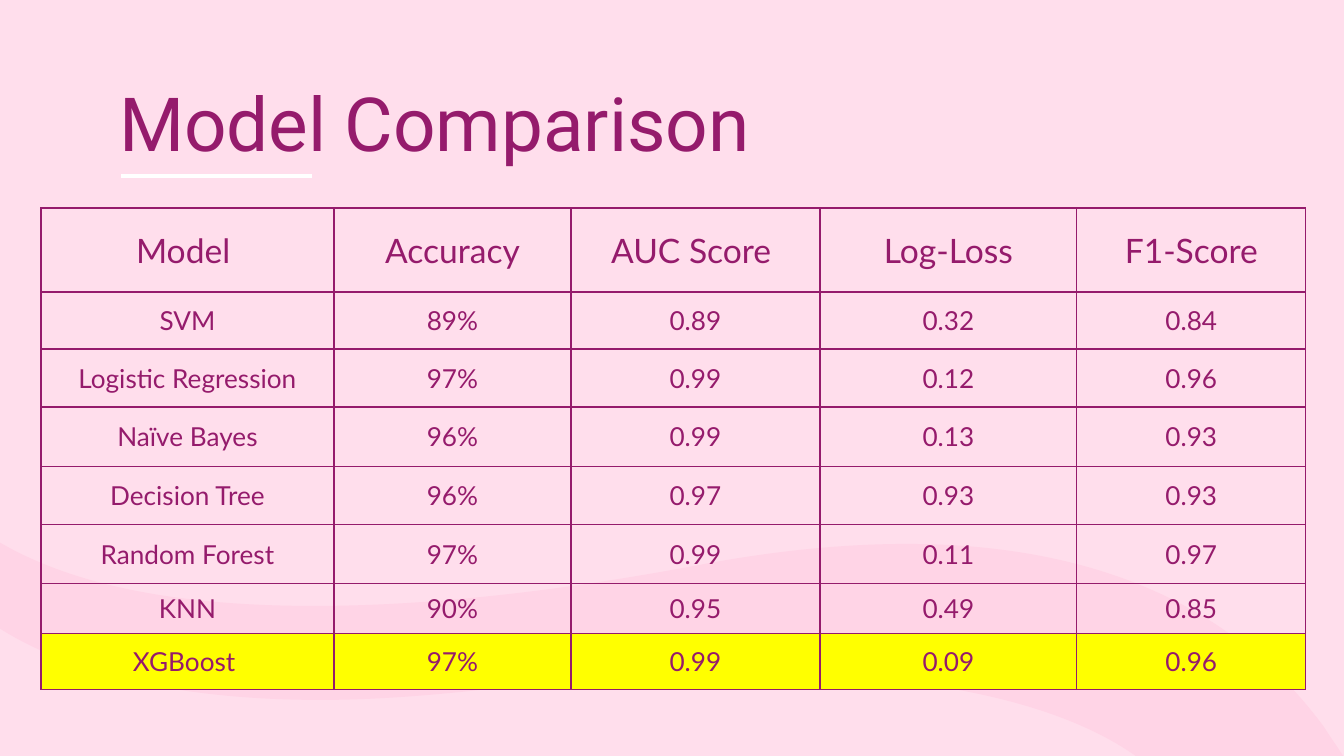
from dataclasses import dataclass

from lxml import etree
from pptx import Presentation
from pptx.dml.color import RGBColor
from pptx.enum.shapes import MSO_CONNECTOR
from pptx.enum.text import MSO_ANCHOR, PP_ALIGN
from pptx.oxml.ns import qn
from pptx.util import Pt

EMU_PER_PX = 914400 / 134.4
STRAIGHT = MSO_CONNECTOR.STRAIGHT
MIDDLE = MSO_ANCHOR.MIDDLE
CENTER = PP_ALIGN.CENTER


@dataclass(frozen=True)
class Theme:
    """Colours, fonts and type sizes of the slide."""
    background: str = "FFDEEC"
    wave: str = "FFD4E6"
    ink: str = "951B6C"
    underline: str = "FFFFFF"
    highlight: str = "FFFF00"
    title_font: str = "Roboto"
    table_font: str = "Lato"
    title_size: int = 40
    header_size: int = 18
    body_size: int = 14
    underline_width: float = 2.25
    border_width: float = 0.75


THEME = Theme()

WAVE_START = (-1, 542)
WAVE_SEGMENTS = [
    [(-1, 628)],
    [(54, 663), (152, 700), (321, 700)],
    [(371, 700), (426, 696), (489, 689)],
    [(586, 679), (672, 673), (747, 673)],
    [(945, 673), (1071, 708), (1140, 759)],
    [(1345, 759)],
    [(1339, 749), (1331, 738), (1324, 727)],
    [(1241, 614), (1106, 544), (907, 544)],
    [(847, 544), (782, 550), (710, 563)],
    [(574, 589), (438, 606), (314, 606)],
    [(190, 606), (79, 589), WAVE_START],
]

COLUMN_WIDTHS = [293, 237, 249, 257, 229]
ROW_HEIGHTS = [84, 57, 58, 60, 58, 59, 50, 56]
SCORES = [
    ["Model ", "Accuracy", "AUC Score ", "Log-Loss", "F1-Score"],
    ["SVM", "89%", "0.89", "0.32", "0.84"],
    ["Logistic Regression", "97%", "0.99", "0.12", "0.96"],
    ["Naïve Bayes", "96%", "0.99", "0.13", "0.93"],
    ["Decision Tree", "96%", "0.97", "0.93", "0.93"],
    ["Random Forest", "97%", "0.99", "0.11", "0.97"],
    ["KNN", "90%", "0.95", "0.49", "0.85"],
    ["XGBoost ", "97%", "0.99", "0.09", "0.96"],
]
BEST_MODEL = "XGBoost "


def px(length):
    """Turn pixels into EMU."""
    return round(length * EMU_PER_PX)


def rgb(code):
    """Turn a hex code into a colour."""
    return RGBColor.from_string(code)


def bend_segments(outline, segments):
    """Turn the straight sides with control points into cubic curves."""
    sides = list(outline._element.iter(qn("a:lnTo")))
    for side, points in zip(sides, segments):
        if len(points) == 1:
            continue
        side.clear()
        curve = etree.Element(qn("a:cubicBezTo"))
        for x, y in points:
            etree.SubElement(curve, qn("a:pt"), x=str(px(x) - outline.left),
                             y=str(px(y) - outline.top))
        side.getparent().replace(side, curve)


def add_wave(slide):
    """Draw the soft wave across the foot of the slide."""
    builder = slide.shapes.build_freeform(*map(px, WAVE_START))
    ends = [tuple(map(px, points[-1])) for points in WAVE_SEGMENTS]
    builder.add_line_segments(ends, close=True)
    wave = builder.convert_to_shape()
    bend_segments(wave, WAVE_SEGMENTS)
    wave.shadow.inherit = False
    wave.fill.solid()
    wave.fill.fore_color.rgb = rgb(THEME.wave)
    wave.line.fill.background()


def add_underline(slide, left, right, y):
    """Draw the short rule under the title."""
    underline = slide.shapes.add_connector(STRAIGHT, px(left), px(y), px(right), px(y))
    underline.line.color.rgb = rgb(THEME.underline)
    underline.line.width = Pt(THEME.underline_width)
    etree.SubElement(underline._element.spPr, qn("a:effectLst"))


def format_text(paragraph, font_name, size):
    """Give the runs of a paragraph their font, size and colour."""
    for run in paragraph.runs:
        run.font.name = font_name
        run.font.size = Pt(size)
        run.font.color.rgb = rgb(THEME.ink)


def add_title(slide, text):
    """Write the slide title."""
    frame = slide.shapes.add_textbox(px(106), px(79), px(1200), px(85)).text_frame
    frame.word_wrap = True
    frame.vertical_anchor = MIDDLE
    frame.margin_left = frame.margin_right = px(13)
    frame.margin_top = frame.margin_bottom = px(13)
    frame.text = text
    format_text(frame.paragraphs[0], THEME.title_font, THEME.title_size)


def add_borders(cell):
    """Rule all four sides of a table cell."""
    properties = cell._tc.get_or_add_tcPr()
    for side in ("a:lnL", "a:lnR", "a:lnT", "a:lnB"):
        border = etree.SubElement(properties, qn(side), w=str(Pt(THEME.border_width)))
        fill = etree.SubElement(border, qn("a:solidFill"))
        etree.SubElement(fill, qn("a:srgbClr"), val=THEME.ink)


def fill_cell(cell, text, size, highlighted):
    """Write and format one table cell."""
    cell.text_frame.text = text
    cell.vertical_anchor = MIDDLE
    cell.margin_left = cell.margin_right = px(11)
    cell.margin_top = cell.margin_bottom = px(5)
    paragraph = cell.text_frame.paragraphs[0]
    paragraph.alignment = CENTER
    format_text(paragraph, THEME.table_font, size)
    add_borders(cell)
    if highlighted:
        cell.fill.solid()
        cell.fill.fore_color.rgb = rgb(THEME.highlight)
    else:
        cell.fill.background()


def add_score_table(slide, left, top):
    """Build the table that compares the models."""
    table = slide.shapes.add_table(
        len(ROW_HEIGHTS), len(COLUMN_WIDTHS), px(left), px(top),
        px(sum(COLUMN_WIDTHS)), px(sum(ROW_HEIGHTS)),
    ).table
    table.first_row = False
    table.horz_banding = False
    for column, width in zip(table.columns, COLUMN_WIDTHS):
        column.width = px(width)
    for index, (row, height, scores) in enumerate(zip(table.rows, ROW_HEIGHTS, SCORES)):
        row.height = px(height)
        size = THEME.body_size if index else THEME.header_size
        for cell, text in zip(row.cells, scores):
            fill_cell(cell, text, size, scores[0] == BEST_MODEL)


def main():
    """Build and save the model comparison slide."""
    deck = Presentation()
    deck.slide_width, deck.slide_height = px(1344), px(756)
    slide = deck.slides.add_slide(deck.slide_layouts[6])
    slide.background.fill.solid()
    slide.background.fill.fore_color.rgb = rgb(THEME.background)
    add_wave(slide)
    add_underline(slide, 121, 312, 176)
    add_title(slide, "Model Comparison")
    add_score_table(slide, 41, 208)
    deck.save("out.pptx")


if __name__ == "__main__":
    main()
